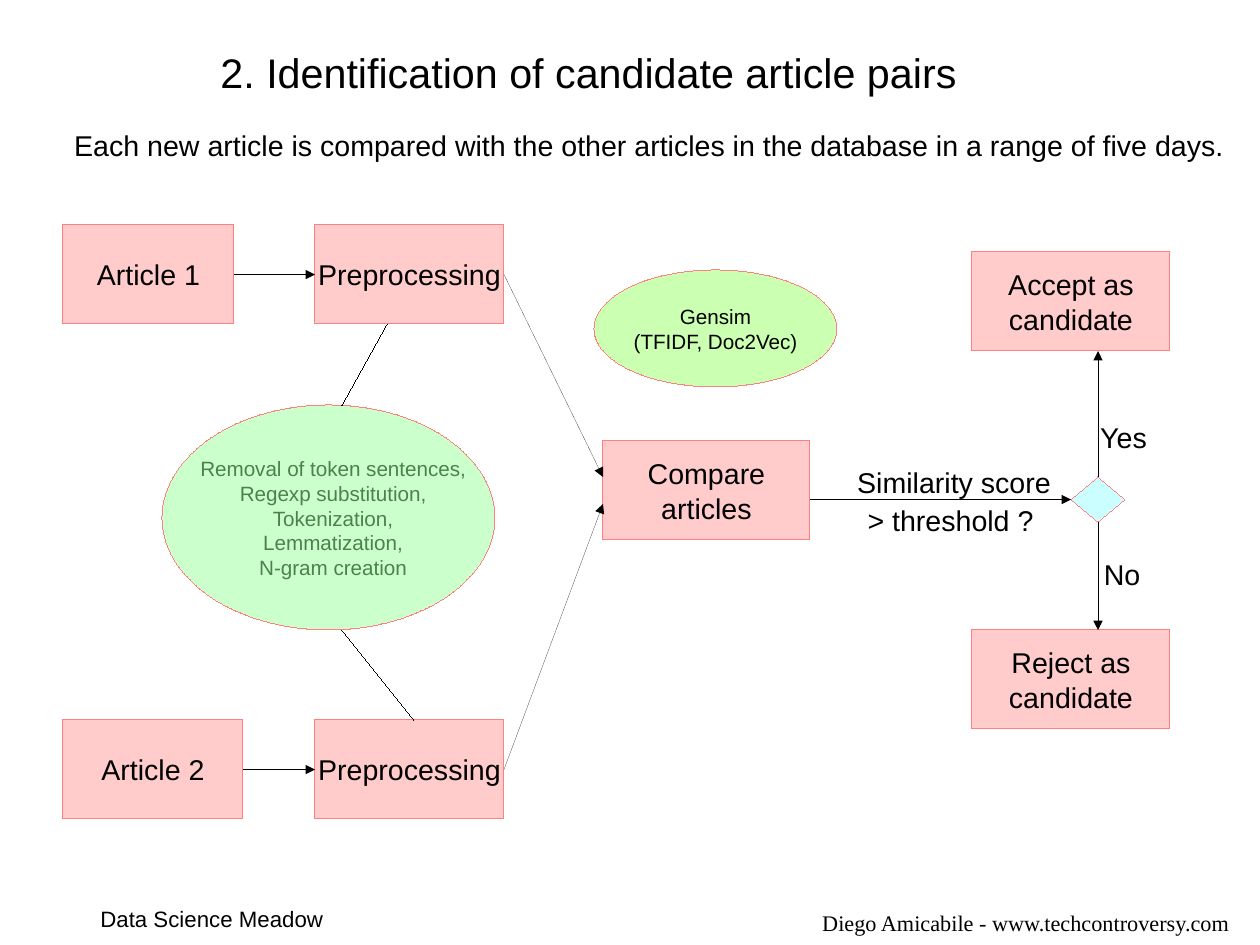
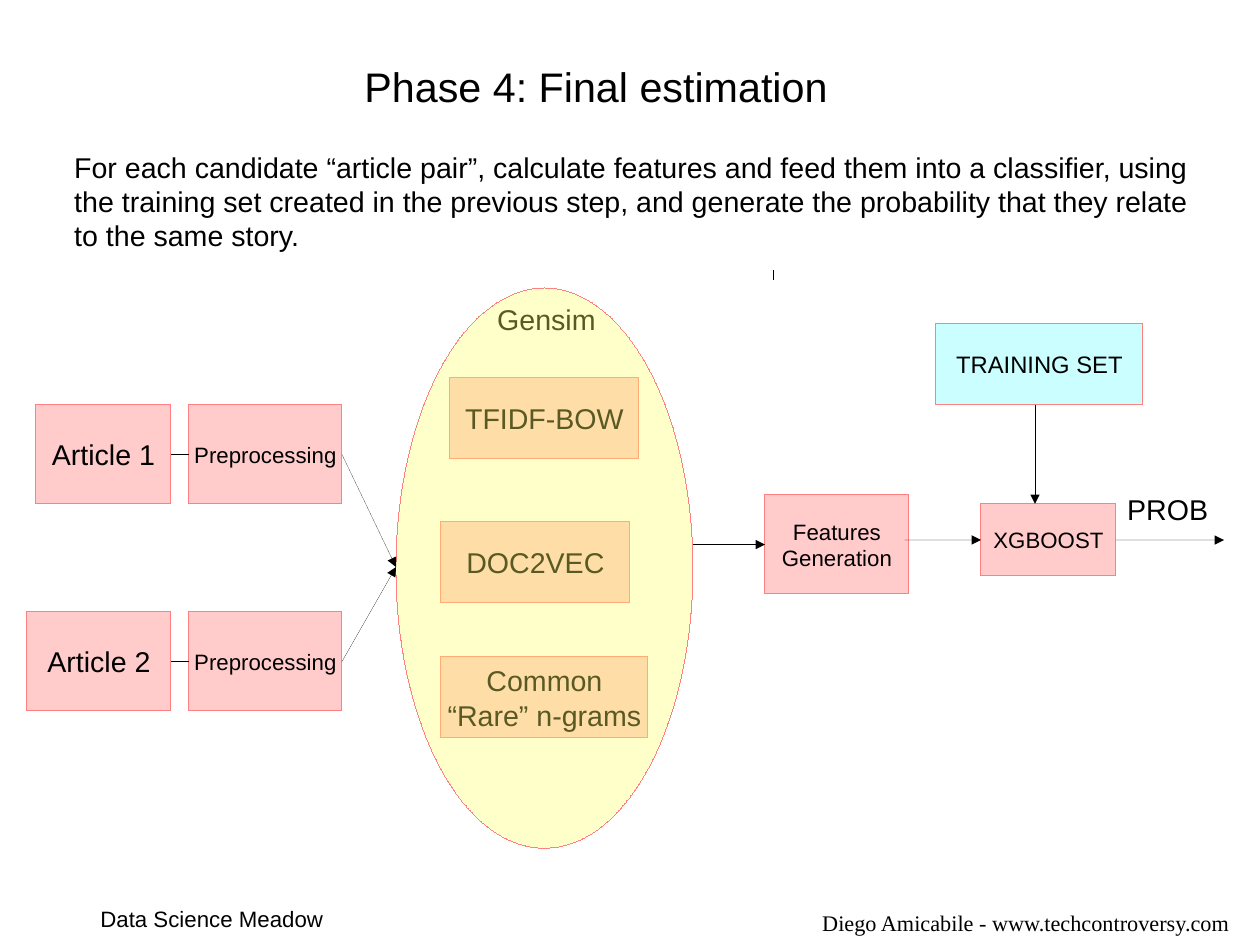
"""Build two flow-chart slides about finding and scoring article pairs."""
from dataclasses import dataclass
from typing import NamedTuple, Union

import lxml.etree
import pptx
import pptx.dml.color
import pptx.enum.shapes
import pptx.enum.text
import pptx.oxml.ns
import pptx.util

Cm = pptx.util.Cm
Shapes = pptx.enum.shapes.MSO_SHAPE
Align = pptx.enum.text.PP_ALIGN
Anchor = pptx.enum.text.MSO_ANCHOR
TOP, LEFT, BOTTOM, RIGHT = range(4)
HAIRLINE = pptx.util.Emu(1)


@dataclass(frozen=True)
class Theme:
    ink: str = "000000"
    outline: str = "FF8080"
    rose: str = "FF9999"
    mint: str = "99FF99"
    lime: str = "99FF66"
    aqua: str = "99FFFF"
    lemon: str = "FFFF66"
    font: str = "Arial"
    author_font: str = "Times New Roman"
    title: int = 26
    body: int = 18
    training: int = 15
    small: int = 14
    detail: int = 13


THEME = Theme()


@dataclass(frozen=True)
class Label:
    text: str
    left: float
    top: float
    width: float
    height: float = 0.97
    size: int = THEME.body
    font: str = THEME.font
    align: Align = Align.LEFT
    wrap: bool = False
    inset: tuple[float, float] = (0.25, 0.13)


@dataclass(frozen=True)
class Node:
    text: str
    left: float
    top: float
    width: float
    height: float = 2.2
    fill: str = THEME.rose
    size: int = THEME.body
    kind: Shapes = Shapes.RECTANGLE
    opacity: int = 50


class Point(NamedTuple):
    x: float
    y: float


class Joint(NamedTuple):
    node: Node
    side: int


@dataclass(frozen=True)
class Link:
    start: Union[Point, Joint]
    end: Union[Point, Joint]
    arrow: bool = True


FOOTERS = [
    Label("Data Science Meadow", 1.98, 19.99, 6.5, 0.81, THEME.small),
    Label("Diego Amicabile - www.techcontroversy.com", 17.8, 20.2, 10, 0.65,
          THEME.small, THEME.author_font, Align.CENTER, True, (0, 0)),
]


def color(value: str) -> pptx.dml.color.RGBColor:
    """Turn a hex string into a colour."""
    return pptx.dml.color.RGBColor.from_string(value)


def add_element(parent, tag: str, **attributes: str):
    """Append a drawing element to its parent."""
    return lxml.etree.SubElement(parent, pptx.oxml.ns.qn(tag), attributes)


def write_text(shape, text: str, *, size: int, font: str = THEME.font,
               align: Align = Align.CENTER, anchor: Anchor = Anchor.MIDDLE,
               wrap: bool = False, inset: tuple[float, float] = (0.25, 0.13)) -> None:
    """Write one paragraph per line of text into a shape."""
    frame = shape.text_frame
    frame.word_wrap = wrap
    frame.vertical_anchor = anchor
    frame.margin_left = frame.margin_right = Cm(inset[0])
    frame.margin_top = frame.margin_bottom = Cm(inset[1])
    frame.text = text
    for paragraph in frame.paragraphs:
        paragraph.alignment = align
        paragraph.font.size = pptx.util.Pt(size)
        paragraph.font.name = font
        paragraph.font.color.rgb = color(THEME.ink)


def add_label(slide, label: Label) -> None:
    """Add a plain text box."""
    box = slide.shapes.add_textbox(Cm(label.left), Cm(label.top), Cm(label.width), Cm(label.height))
    write_text(box, label.text, size=label.size, font=label.font, align=label.align,
               anchor=Anchor.TOP, wrap=label.wrap, inset=label.inset)
    box.text_frame.auto_size = pptx.enum.text.MSO_AUTO_SIZE.SHAPE_TO_FIT_TEXT


def add_node(slide, node: Node):
    """Add an outlined, translucent shape with its text."""
    shape = slide.shapes.add_shape(node.kind, Cm(node.left), Cm(node.top), Cm(node.width), Cm(node.height))
    shape.shadow.inherit = False
    shape.fill.solid()
    shape.fill.fore_color.rgb = color(node.fill)
    solid = shape.fill._xPr.find(pptx.oxml.ns.qn("a:solidFill"))
    add_element(solid[0], "a:alpha", val=str(node.opacity * 1000))
    shape.line.color.rgb = color(THEME.outline)
    shape.line.width = HAIRLINE
    if node.text:
        write_text(shape, node.text, size=node.size)
    return shape


def add_link(slide, link: Link, shapes: dict) -> None:
    """Add a straight line, joined to nodes where it has joints."""
    ends = [Cm(value) if isinstance(end, Point) else 0
            for end in (link.start, link.end) for value in end]
    connector = slide.shapes.add_connector(pptx.enum.shapes.MSO_CONNECTOR.STRAIGHT, *ends)
    for end, connect in ((link.start, connector.begin_connect), (link.end, connector.end_connect)):
        if isinstance(end, Joint):
            connect(shapes[end.node], end.side)
    connector.line.color.rgb = color(THEME.ink)
    connector.line.width = HAIRLINE
    if link.arrow:
        add_element(connector.line._get_or_add_ln(), "a:tailEnd", type="triangle")
    add_element(connector._element.spPr, "a:effectLst")


def add_slide(presentation, labels: list[Label], nodes: list[Node], links: list[Link]) -> None:
    """Add a slide with labels at the back, then nodes, then links."""
    slide = presentation.slides.add_slide(presentation.slide_layouts[6])
    for label in FOOTERS + labels:
        add_label(slide, label)
    shapes = {node: add_node(slide, node) for node in nodes}
    for link in links:
        add_link(slide, link, shapes)


def add_candidate_slide(presentation) -> None:
    """Add the slide on choosing candidate pairs."""
    article_1 = Node("Article 1", 1.4, 5, 3.8)
    article_2 = Node("Article 2", 1.4, 16, 4)
    preprocessing_1, preprocessing_2 = (Node("Preprocessing", 7, top, 4.2) for top in (5, 16))
    compare = Node("Compare\narticles", 13.4, 9.8, 4.6)
    accept, reject = (Node(f"{verdict} as\ncandidate", 21.6, top, 4.4)
                      for verdict, top in (("Accept", 5.6), ("Reject", 14)))
    decision = Node("", 23.8, 10.6, 1.2, 1, THEME.aqua, kind=Shapes.DIAMOND)
    steps = Node("", 3.6, 9, 7.4, 5, THEME.mint, kind=Shapes.OVAL)
    gensim = Node("Gensim\n(TFIDF, Doc2Vec)", 13.2, 6, 5.4, 2.6, THEME.lime,
                  THEME.detail, Shapes.OVAL)
    labels = [
        Label("2. Identification of candidate article pairs", 4.65, 0.91, 17.15, 1.27, THEME.title),
        Label("Each new article is compared with the other articles in the database "
              "in a range of five days.", 1.4, 2.72, 26.2),
        Label("Removal of token sentences,\nRegexp substitution,\nTokenization,\n"
              "Lemmatization,\nN-gram creation", 4, 10, 6.8, 4.37, THEME.detail,
              align=Align.CENTER, wrap=True),
        Label("Similarity score", 18.8, 10.2, 5.4),
        Label("> threshold ?", 19.03, 11.05, 4.6),
        Label("Yes", 24.2, 9.2, 1.8),
        Label("No", 24.28, 12.24, 1.6),
    ]
    nodes = [article_1, article_2, preprocessing_1, preprocessing_2, compare,
             accept, reject, decision, steps, gensim]
    links = [
        Link(Joint(article_1, RIGHT), Joint(preprocessing_1, LEFT)),
        Link(Joint(article_2, RIGHT), Joint(preprocessing_2, LEFT)),
        Link(Joint(preprocessing_1, RIGHT), Point(13.4, 10.6)),
        Link(Joint(preprocessing_2, RIGHT), Point(13.4, 11.2)),
        Link(Point(18, 11.1), Joint(decision, LEFT)),
        Link(Joint(decision, TOP), Point(24.4, 7.8)),
        Link(Joint(decision, BOTTOM), Point(24.4, 14)),
        Link(Point(7.6, 9), Point(8.6, 7.2), arrow=False),
        Link(Point(7.6, 14), Point(9.2, 16), arrow=False),
    ]
    add_slide(presentation, labels, nodes, links)


def add_estimation_slide(presentation) -> None:
    """Add the slide on the final estimation."""
    article_1 = Node("Article 1", 0.8, 9, 3)
    article_2 = Node("Article 2", 0.6, 13.6, 3.2)
    preprocessing_1, preprocessing_2 = (
        Node("Preprocessing", 4.2, top, 3.4, size=THEME.small) for top in (9, 13.6))
    features = Node("Features\nGeneration", 17, 11, 3.2, size=THEME.small)
    classifier = Node("XGBOOST", 21.8, 11.2, 3, 1.6, size=THEME.small)
    training = Node("TRAINING SET", 20.8, 7.2, 4.6, 1.8, THEME.aqua, THEME.training)
    models = [
        Node("TFIDF-BOW", 10, 8.4, 4.2, 1.8),
        Node("DOC2VEC", 9.8, 11.6, 4.2, 1.8),
        Node("Common\n“Rare” n-grams", 9.8, 14.6, 4.6, 1.8),
    ]
    gensim = Node("", 8.8, 6.4, 6.6, 12.45, THEME.lemon, kind=Shapes.OVAL, opacity=35)
    labels = [
        Label("Phase 4: Final estimation", 7.85, 1.24, 13.97, 1.27, THEME.title),
        Label("For each candidate “article pair”, calculate features and feed them into a "
              "classifier, using\nthe training set created in the previous step, and generate "
              "the probability that they relate\nto the same story.", 1.4, 3.2, 25.83, 2.39),
        Label("Gensim", 10.8, 6.58, 3),
        Label("PROB", 24.8, 10.8, 2.6),
    ]
    nodes = [article_1, article_2, preprocessing_1, preprocessing_2, features,
             *models, gensim, classifier, training]
    meeting = Point(8.8, 12.6)
    links = [
        Link(Joint(article_1, RIGHT), Joint(preprocessing_1, LEFT), arrow=False),
        Link(Joint(article_2, RIGHT), Joint(preprocessing_2, LEFT), arrow=False),
        Link(Joint(preprocessing_1, RIGHT), meeting),
        Link(Joint(preprocessing_2, RIGHT), meeting),
        Link(Point(15.4, 12.1), Joint(features, LEFT)),
        Link(Point(20.1, 12), Joint(classifier, LEFT)),
        Link(Joint(classifier, RIGHT), Point(27.2, 12)),
        Link(Point(23, 9), Point(23, 11.2)),
        Link(Point(17.2, 6), Point(17.2, 6.2), arrow=False),
    ]
    add_slide(presentation, labels, nodes, links)


def main() -> None:
    """Build and save the presentation."""
    presentation = pptx.Presentation()
    presentation.slide_width = Cm(28)
    presentation.slide_height = Cm(21)
    add_candidate_slide(presentation)
    add_estimation_slide(presentation)
    presentation.save("out.pptx")


if __name__ == "__main__":
    main()
